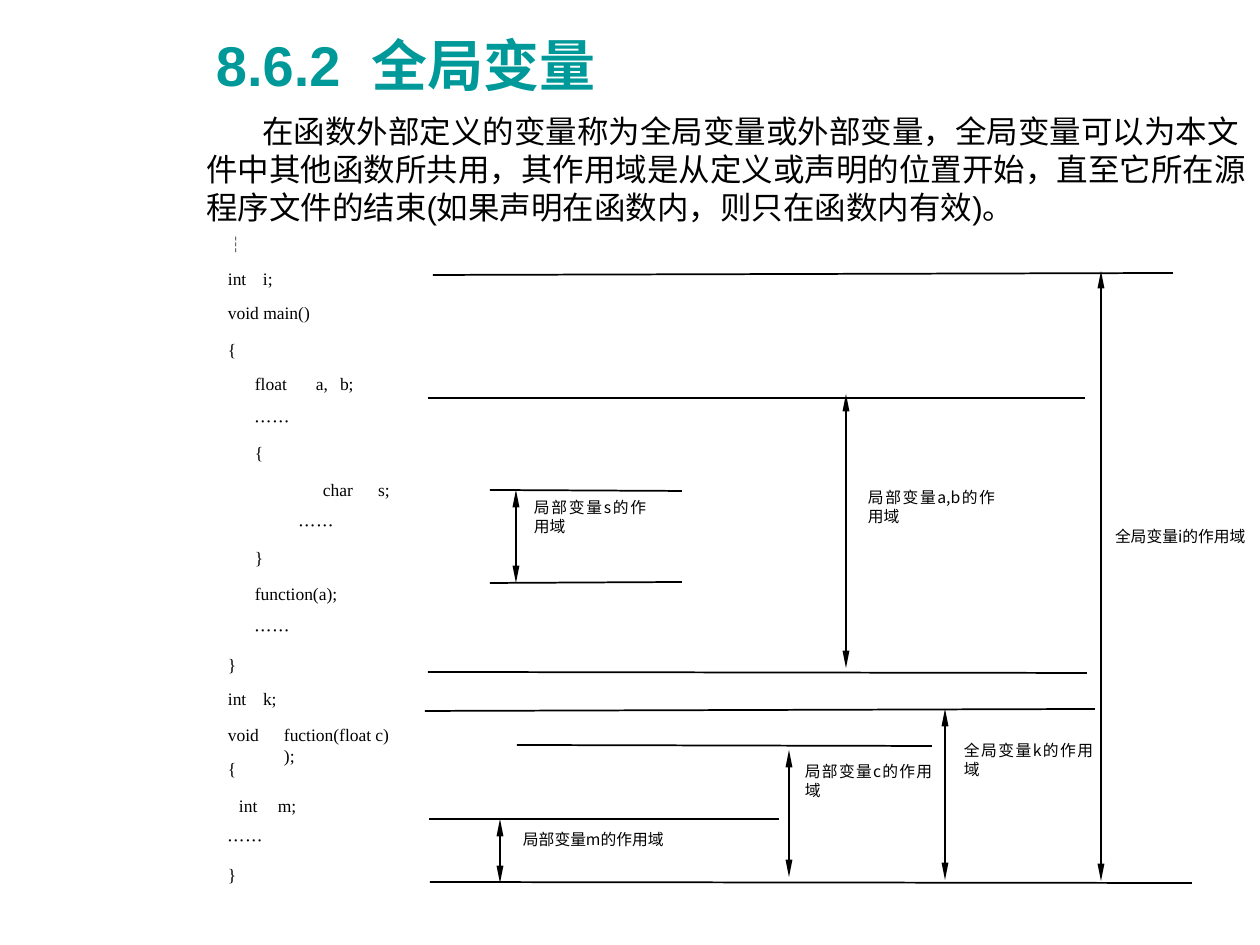
from lxml.etree import SubElement
from pptx import Presentation
from pptx.dml.color import RGBColor
from pptx.enum.shapes import MSO_CONNECTOR
from pptx.enum.text import MSO_ANCHOR, PP_ALIGN
from pptx.oxml.ns import qn
from pptx.util import Emu, Pt

BLACK = RGBColor(0x00, 0x00, 0x00)
TEAL = RGBColor(0x00, 0x99, 0x99)
WHITE = RGBColor(0xFF, 0xFF, 0xFF)
SANS, SERIF, CHINESE = "Arial", "Times New Roman", "Noto Sans CJK SC"

# Code rows: top, then (left, width, text) for each word group
CODE_ROWS = [
    (0, [(0, 26, "┆")]),
    (34, [(0, 28, "int"), (35, 15, "i;")]),
    (68, [(0, 155, "void main()")]),
    (105, [(0, 13, "{")]),
    (139, [(27, 48, "float"), (88, 18, "a,"), (112, 20, "b;")]),
    (177, [(27, 53, "……")]),
    (208, [(27, 13, "{")]),
    (245, [(95, 45, "char"), (150, 18, "s;")]),
    (281, [(71, 53, "……")]),
    (313, [(27, 13, "}")]),
    (349, [(27, 125, "function(a);")]),
    (386, [(27, 53, "……")]),
    (420, [(0, 13, "}")]),
    (454, [(0, 28, "int"), (35, 20, "k;")]),
    (490, [(0, 47, "void"), (56, 256, "fuction(float c)\n);")]),
    (524, [(0, 13, "{")]),
    (561, [(11, 28, "int"), (50, 28, "m;")]),
    (596, [(0, 53, "……")]),
    (630, [(0, 13, "}")]),
]

# Scope boundaries: start x, start y, end x, end y
BOUNDARIES = [
    (9, 5, 749, 3),
    (4, 128, 661, 128),
    (66, 220, 258, 221),
    (66, 313, 258, 312),
    (4, 402, 663, 403),
    (1, 441, 671, 439),
    (93, 475, 508, 476),
    (5, 549, 355, 549),
    (6, 612, 768, 613),
]

# Scopes: arrow x, top, bottom, line width, label box, label
SCOPES = [
    (422, 124, 398, 0.75, (444, 218, 127, 129), "局部变量a,b的作用域"),
    (677, 1, 611, 1.25, (691, 257, 145, 106), "全局变量i的作用域"),
    (521, 439, 610, 1.25, (540, 471, 129, 105), "全局变量k的作用域"),
    (76, 549, 613, 1.25, (99, 560, 248, 35), "局部变量m的作用域"),
    (92, 220, 313, 0.75, (110, 228, 112, 84), "局部变量s的作用域"),
    (365, 480, 607, 1.25, (381, 492, 127, 95), "局部变量c的作用域"),
]


def px(value):
    return Emu(round(value * 914400 / 126))


def add_text(slide, box, text, size, font, color=BLACK, bold=False, wrap=True,
             margins=(0, 0, 0, 0), align=PP_ALIGN.JUSTIFY, exact=True):
    shape = slide.shapes.add_textbox(*map(px, box))
    frame = shape.text_frame
    frame.word_wrap = wrap
    (frame.margin_left, frame.margin_top,
     frame.margin_right, frame.margin_bottom) = map(px, margins)
    frame.text = text
    for paragraph in frame.paragraphs:
        paragraph.alignment = align
        if exact:
            paragraph.line_spacing = Pt(round(size * 1.2, 1))
        for run in paragraph.runs:
            run.font.name = font
            run.font.size = Pt(size)
            run.font.bold = bold
            run.font.color.rgb = color
            east_asian = SubElement(run.font._element, qn("a:ea"))
            east_asian.set("typeface", CHINESE)
    return shape


def add_line(slide, start, end, width=1, arrows=False):
    line = slide.shapes.add_connector(
        MSO_CONNECTOR.STRAIGHT, *map(px, (*start, *end)))
    line.line.color.rgb = BLACK
    line.line.width = Pt(width)
    if arrows:
        outline = line.line._get_or_add_ln()
        for tag in ("a:headEnd", "a:tailEnd"):
            SubElement(outline, qn(tag), type="triangle", w="sm", len="lg")
    SubElement(line._element.spPr, qn("a:effectLst"))


def add_title(slide, box):
    add_text(slide, box, "8.6.2  全局变量", 32, SANS, TEAL, bold=True,
             margins=(13, 31, 13, 0), align=PP_ALIGN.LEFT)


def add_definition(slide, box):
    shape = add_text(
        slide, box,
        "在函数外部定义的变量称为全局变量或外部变量，全局变量可以为本文件中其他函数所共用，"
        "其作用域是从定义或声明的位置开始，直至它所在源程序文件的结束"
        "(如果声明在函数内，则只在函数内有效)。",
        18, SANS, margins=(13, 6, 13, 6), align=PP_ALIGN.LEFT)
    shape.text_frame.vertical_anchor = MSO_ANCHOR.MIDDLE
    properties = shape.text_frame.paragraphs[0]._p.get_or_add_pPr()
    properties.set("marL", "0")
    properties.set("indent", str(px(56)))


def add_code(slide, left, top):
    for row_top, words in CODE_ROWS:
        for word_left, width, text in words:
            symbol = text in ("┆", "……")
            height = 35 if symbol or text in "{}" or "\n" in text else 69
            add_text(slide, (left + word_left, top + row_top, width, height),
                     text, 10, CHINESE if symbol else SERIF,
                     wrap=False, align=PP_ALIGN.LEFT, exact=symbol)


def add_scopes(slide, left, top):
    # Boundary lines
    for start_x, start_y, end_x, end_y in BOUNDARIES:
        add_line(slide, (left + start_x, top + start_y),
                 (left + end_x, top + end_y))
    # Double arrows with their labels
    for x, start, end, width, label_box, label in SCOPES:
        add_line(slide, (left + x, top + start), (left + x, top + end),
                 width, arrows=True)
        label_left, label_top, label_width, label_height = label_box
        add_text(slide, (left + label_left, top + label_top,
                         label_width, label_height), label, 9, CHINESE)


def main():
    presentation = Presentation()
    presentation.slide_width, presentation.slide_height = px(1260), px(945)
    slide = presentation.slides.add_slide(presentation.slide_layouts[6])
    slide.background.fill.solid()
    slide.background.fill.fore_color.rgb = WHITE
    add_title(slide, (203, 0, 992, 98))
    add_definition(slide, (193, 106, 1067, 126))
    add_code(slide, 228, 234)
    add_scopes(slide, 424, 270)
    presentation.save("out.pptx")


if __name__ == "__main__":
    main()
